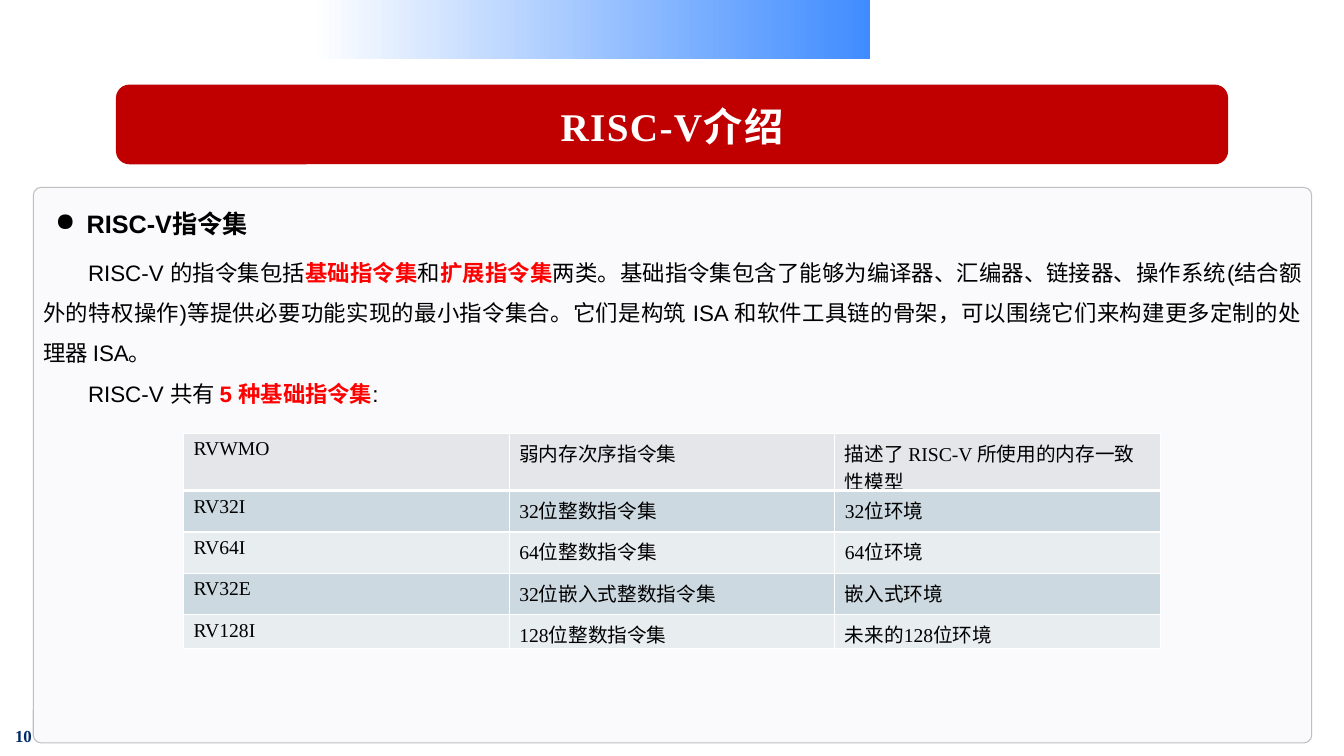
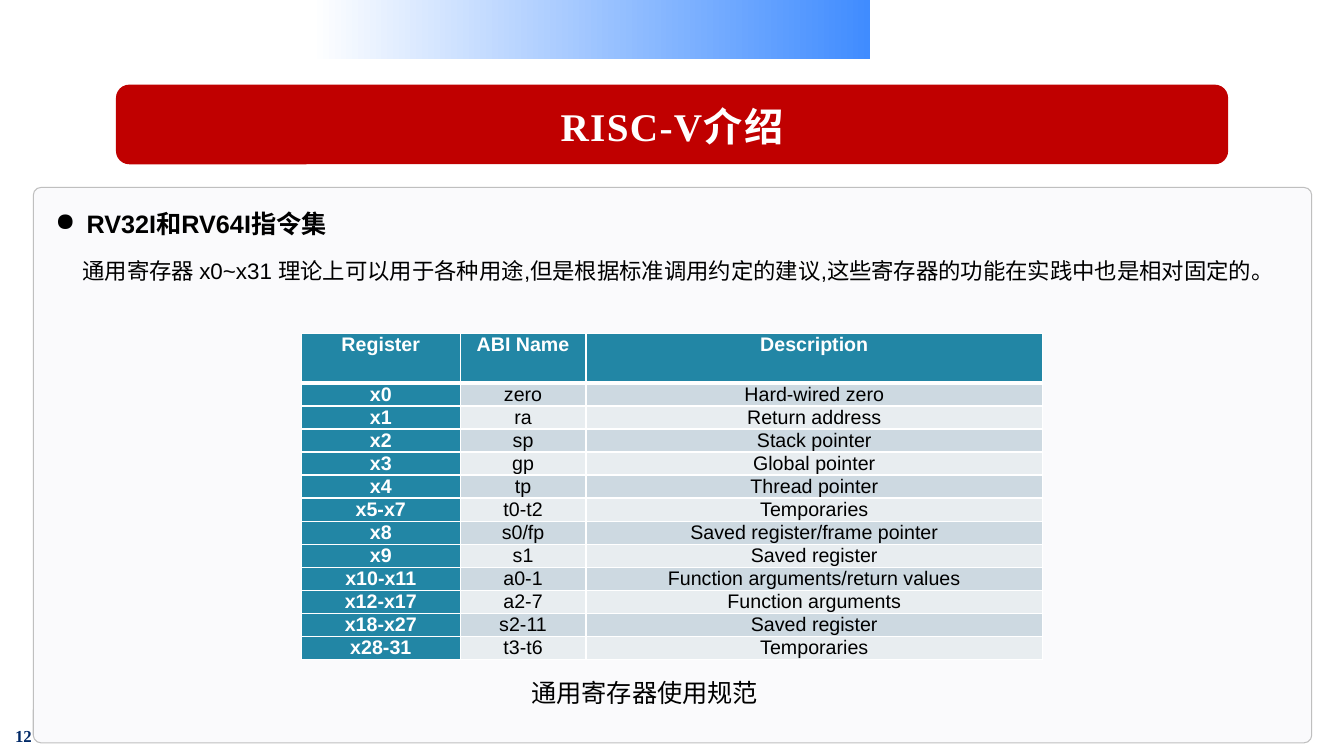
from dataclasses import dataclass

from lxml.etree import SubElement
from pptx import Presentation
from pptx.dml.color import RGBColor as Rgb
from pptx.enum.shapes import MSO_SHAPE as Shape
from pptx.enum.text import MSO_ANCHOR as Anchor, PP_ALIGN as Align
from pptx.oxml.ns import qn
from pptx.util import Emu, Inches, Pt


@dataclass(frozen=True)
class Theme:
    """Colours, fonts and type sizes shared by every page."""

    white: str = "FFFFFF"
    ink: str = "000000"
    accent: str = "FF0000"
    banner: str = "C00000"
    ribbon: str = "408CFF"
    panel: str = "FAFAFC"
    outline: str = "BFBFBF"
    number: str = "002967"
    head: str = "2286A5"
    pale_head: str = "E4E6EA"
    bands: tuple = ("CDD9E1", "E8EDF0")
    sans: str = "Arial"
    serif: str = "Times New Roman"
    title_size: int = 28
    heading_size: int = 18
    body_size: int = 16
    table_size: int = 14
    number_size: int = 12


THEME = Theme()
STRONG = {"color": THEME.accent, "bold": True}


@dataclass(frozen=True)
class Box:
    """A rectangle whose inner boxes are given in percent of its size."""

    left: int
    top: int
    width: int
    height: int

    def inner(self, left, top, width, height):
        """Return the inner box at the given percentages."""
        return Box(
            Emu(round(self.left + self.width * left / 100)),
            Emu(round(self.top + self.height * top / 100)),
            Emu(round(self.width * width / 100)),
            Emu(round(self.height * height / 100)),
        )

    @property
    def bounds(self):
        """Return the four lengths in the order the shape tree expects."""
        return self.left, self.top, self.width, self.height


def add_span(para, text, *, size, font, color=THEME.ink, bold=False, spacing=0):
    """Append one formatted run to a paragraph."""
    span = para.add_run()
    span.text = text
    span.font.size = Pt(size)
    span.font.name = font
    span.font.bold = bold
    span.font.color.rgb = Rgb.from_string(color)
    if spacing:
        span._r.get_or_add_rPr().set("spc", str(spacing * 100))


def write(frame, *paragraphs, align=None, leading=None, first_line=0, bullet=None, **style):
    """Fill a text frame; a paragraph is a string or a list of strings and (text, changes)."""
    for index, content in enumerate(paragraphs):
        para = frame.add_paragraph() if index else frame.paragraphs[0]
        props = para._p.get_or_add_pPr()
        if bullet:
            props.set("marL", str(Inches(0.31)))
            props.set("indent", str(-Inches(0.31)))
            SubElement(props, qn("a:buChar"), char=bullet)
        elif first_line:
            props.set("indent", str(Pt(first_line)))
        para.alignment = align
        para.line_spacing = leading
        for item in [content] if isinstance(content, str) else content:
            text, changes = (item, {}) if isinstance(item, str) else item
            add_span(para, text, **{**style, **changes})


def add_text(page, box, *paragraphs, anchor=Anchor.TOP, **style):
    """Place a wrapping text box."""
    frame = page.shapes.add_textbox(*box.bounds).text_frame
    frame.word_wrap = True
    frame.vertical_anchor = anchor
    write(frame, *paragraphs, **style)


def add_panel(page, box, kind, fill=None, outline=None):
    """Place a flat preset shape."""
    shape = page.shapes.add_shape(kind, *box.bounds)
    shape.shadow.inherit = False
    if fill:
        shape.fill.solid()
        shape.fill.fore_color.rgb = Rgb.from_string(fill)
    if outline:
        shape.line.color.rgb = Rgb.from_string(outline)
        shape.line.width = Pt(0.75)
    else:
        shape.line.fill.background()
    return shape


def add_ribbon(page, box):
    """Place the fading ribbon at the top edge."""
    fill = add_panel(page, box, Shape.RECTANGLE).fill
    fill.gradient()
    fill.gradient_angle = 0
    for stop, color, position in zip(fill.gradient_stops, (THEME.white, THEME.ribbon), (0, 1)):
        stop.color.rgb = Rgb.from_string(color)
        stop.position = position


def add_title(page, box, text):
    """Place the title banner."""
    frame = add_panel(page, box, Shape.ROUNDED_RECTANGLE, THEME.banner).text_frame
    frame.vertical_anchor = Anchor.MIDDLE
    write(frame, text, align=Align.CENTER, leading=Pt(35), size=THEME.title_size,
          font=THEME.serif, color=THEME.white, bold=True, spacing=1)


def add_page(deck, number, title, heading):
    """Add a page with the shared elements and return it with its content box."""
    page = deck.slides.add_slide(deck.slide_layouts[6])
    whole = Box(0, 0, deck.slide_width, deck.slide_height)
    add_ribbon(page, whole.inner(23.18, 0, 41.56, 7.87))
    add_text(page, whole.inner(0.38, 95.33, 4.73, 4), str(number),
             size=THEME.number_size, font=THEME.serif, color=THEME.number, bold=True)
    content = whole.inner(2.48, 24.8, 95.12, 73.47)
    panel = add_panel(page, content, Shape.ROUNDED_RECTANGLE, THEME.panel, THEME.outline)
    panel.adjustments[0] = 0.014
    add_title(page, whole.inner(8.63, 11.2, 82.75, 10.53), title)
    add_text(page, content.inner(0.95, 2.9, 34.78, 7.26), heading, bullet="●",
             size=THEME.heading_size, font=THEME.sans, bold=True)
    return page, content


def add_body(page, box, *paragraphs, **style):
    """Place justified running text."""
    add_text(page, box, *paragraphs, anchor=Anchor.MIDDLE, align=Align.JUSTIFY,
             leading=1.5, size=THEME.body_size, font=THEME.sans, **style)


def set_borders(cell, row):
    """Draw white cell borders, thick under the first row."""
    props = cell._tc.get_or_add_tcPr()
    widths = {"L": 1, "R": 1, "T": 3 if row == 1 else 1, "B": 1 if row else 3}
    for side, width in widths.items():
        line = SubElement(props, qn(f"a:ln{side}"), w=str(Pt(width)))
        fill = SubElement(line, qn("a:solidFill"))
        SubElement(fill, qn("a:srgbClr"), val=THEME.white)


def add_grid(page, box, rows, widths, heights, head, head_column=False, margins=None, **style):
    """Place a banded table; widths and heights are percentages of the box."""
    holder = page.shapes.add_table(len(rows), len(widths), *box.bounds)
    table = holder.table
    table.horz_banding = False
    for column, share in zip(table.columns, widths):
        column.width = Emu(round(box.width * share / 100))
    for line, share in zip(table.rows, heights):
        line.height = Emu(round(box.height * share / 100))
    holder.height = box.height
    for row, texts in enumerate(rows):
        for column, text in enumerate(texts):
            cell = table.cell(row, column)
            set_borders(cell, row)
            is_head = row == 0 or (head_column and column == 0)
            cell.fill.solid()
            cell.fill.fore_color.rgb = Rgb.from_string(
                head if is_head else THEME.bands[(row - 1) % 2])
            if margins:
                cell.margin_left = cell.margin_right = Inches(margins[0])
                cell.margin_top = cell.margin_bottom = Inches(margins[1])
            strong = is_head and head_column
            write(cell.text_frame, text, size=THEME.table_size, bold=strong,
                  color=THEME.white if strong else THEME.ink, **style)


BASE_SETS = [
    ("RVWMO", "弱内存次序指令集", "描述了 RISC-V 所使用的内存一致性模型"),
    ("RV32I", "32位整数指令集", "32位环境"),
    ("RV64I", "64位整数指令集", "64位环境"),
    ("RV32E", "32位嵌入式整数指令集", "嵌入式环境"),
    ("RV128I", "128位整数指令集", "未来的128位环境"),
]

REGISTERS = [
    ("Register", "ABI Name", "Description"),
    ("x0", "zero", "Hard-wired zero"),
    ("x1", "ra", "Return address"),
    ("x2", "sp", "Stack pointer"),
    ("x3", "gp", "Global pointer"),
    ("x4", "tp", "Thread pointer"),
    ("x5-x7", "t0-t2", "Temporaries"),
    ("x8", "s0/fp", "Saved register/frame pointer"),
    ("x9", "s1", "Saved register"),
    ("x10-x11", "a0-1", "Function arguments/return values"),
    ("x12-x17", "a2-7", "Function arguments"),
    ("x18-x27", "s2-11", "Saved register"),
    ("x28-31", "t3-t6", "Temporaries"),
]


def add_base_sets_page(deck):
    """Add the page on the base instruction sets."""
    page, content = add_page(deck, 10, "RISC-V介绍", "RISC-V指令集")
    add_body(
        page, content.inner(0, 9.98, 100, 29.95),
        ["RISC-V 的指令集包括", ("基础指令集", STRONG), "和", ("扩展指令集", STRONG),
         "两类。基础指令集包含了能够为编译器、汇编器、链接器、操作系统(结合额外的特权操作)"
         "等提供必要功能实现的最小指令集合。它们是构筑 ISA 和软件工具链的骨架，"
         "可以围绕它们来构建更多定制的处理器 ISA。"],
        ["RISC-V 共有 ", ("5 种基础指令集", STRONG), ":"],
        first_line=2 * THEME.body_size)
    add_grid(page, content.inner(11.75, 44.28, 76.42, 38.48), BASE_SETS,
             widths=[100 / 3] * 3, heights=[19.34] * 4 + [12.74],
             head=THEME.pale_head, font=THEME.serif)


def add_registers_page(deck):
    """Add the page on the general registers."""
    page, content = add_page(deck, 12, "RISC-V介绍", "RV32I和RV64I指令集")
    add_body(
        page, content.inner(3.08, 7.99, 99, 11.43),
        ["通用寄存器 x0~x31 理论上可以用于各种用途,但是根据标准调用约定的建议,"
         "这些寄存器的功能在实践中也是相对固定的", ("。", {"font": THEME.serif})])
    add_grid(page, content.inner(20.98, 26.32, 57.97, 58.62), REGISTERS,
             widths=[21.4, 17, 61.6], heights=[15.16] + [7.07] * 12,
             head=THEME.head, head_column=True, margins=(0.07, 0),
             font=THEME.sans, align=Align.CENTER, leading=Pt(16))
    add_text(page, content.inner(38.17, 87.3, 29.81, 7.26), "通用寄存器使用规范",
             size=THEME.heading_size, font=THEME.serif)


def main():
    """Build and save the deck."""
    deck = Presentation()
    deck.slide_width, deck.slide_height = Inches(13.33), Inches(7.5)
    add_base_sets_page(deck)
    add_registers_page(deck)
    deck.save("out.pptx")


if __name__ == "__main__":
    main()
